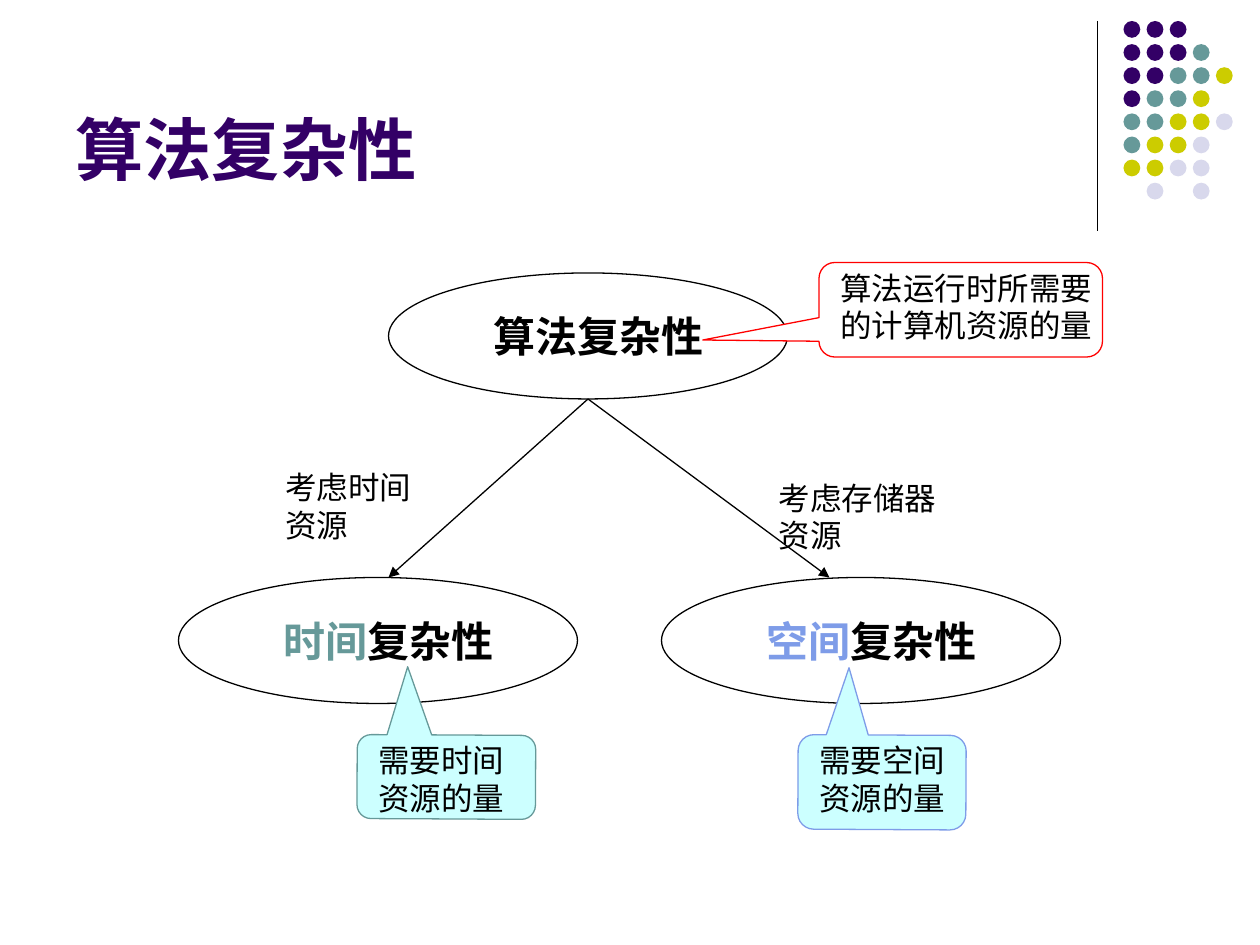
from lxml import etree
from pptx import Presentation, util as u
from pptx.dml.color import RGBColor
from pptx.enum import shapes, text
from pptx.oxml.ns import qn

PX = 7620  # EMU per px, 120 px to the inch
COLORS = {
    "black": "000000", "white": "FFFFFF", "purple": "330066", "teal": "669999",
    "olive": "CCCC00", "lavender": "D8D8EC", "blue": "7E9CE8",
    "cyan": "CCFFFF", "red": "FF0000",
}
DOT_COLORS = {"P": "purple", "T": "teal", "O": "olive", "L": "lavender"}
DOT_ROWS = ["PPP", "PPPT", "PPTTO", "PTTO", "TTOOL", "TOOL", "OOLL", " L L"]


def color(name):
    return RGBColor.from_string(COLORS[name])


def px(*lengths):
    return [u.Emu(length * PX) for length in lengths]


def add_text(slide, box, runs, size, bold=False, align=text.PP_ALIGN.LEFT,
             anchor=text.MSO_ANCHOR.TOP):
    """Add one paragraph made of (words, colour) runs."""
    frame = slide.shapes.add_textbox(*px(*box)).text_frame
    frame.word_wrap = True
    frame.vertical_anchor = anchor
    paragraph = frame.paragraphs[0]
    paragraph.alignment = align
    paragraph.font.name = "Arial"
    paragraph.font.size = u.Pt(size)
    paragraph.font.bold = bold
    for words, run_color in runs:
        run = paragraph.add_run()
        run.text = words
        run.font.color.rgb = color(run_color)


def add_outline(slide, kind, box, fill=None, line=None):
    shape = slide.shapes.add_shape(kind, *px(*box))
    shape.shadow.inherit = False
    if fill:
        shape.fill.solid()
        shape.fill.fore_color.rgb = color(fill)
    else:
        shape.fill.background()
    if line:
        shape.line.color.rgb = color(line)
        shape.line.width = u.Pt(0.75)
    else:
        shape.line.fill.background()
    return shape


def add_line(slide, start, end, arrow=False):
    line = slide.shapes.add_connector(
        shapes.MSO_CONNECTOR.STRAIGHT, *px(*start, *end))
    line.line.color.rgb = color("black")
    line.line.width = u.Pt(0.75)
    if arrow:
        etree.SubElement(line.line._get_or_add_ln(), qn("a:tailEnd"), type="triangle")
    etree.SubElement(line._element.spPr, qn("a:effectLst"))


def add_dots(slide, left, top):
    """Corner ornament: a rule and a grid of dots."""
    pitch, size = 22, 16
    add_line(slide, (left - 25, top), (left - 25, top + 200))
    for row, letters in enumerate(DOT_ROWS):
        for column, letter in enumerate(letters):
            if letter in DOT_COLORS:
                box = (left + column * pitch, top + row * pitch, size, size)
                add_outline(slide, shapes.MSO_SHAPE.OVAL, box, DOT_COLORS[letter])


def add_node(slide, left, top, runs):
    """Ellipse with a centred bold label."""
    add_outline(slide, shapes.MSO_SHAPE.OVAL, (left, top, 380, 120), line="black")
    add_text(slide, (left + 70, top + 30, 260, 60), runs, 24, True,
             text.PP_ALIGN.CENTER)


def add_branch(slide, start, end, label_box, label):
    """Arrow with its condition."""
    add_line(slide, start, end, arrow=True)
    add_text(slide, label_box, [(label, "black")], 18)


def add_callout(slide, box, text_width, pointer, words, fill, line, rotation=0):
    """Speech bubble with its explanation on top."""
    left, top = box[:2]
    bubble = add_outline(slide, shapes.MSO_SHAPE.ROUNDED_RECTANGULAR_CALLOUT,
                         box, fill, line)
    bubble.rotation = rotation
    bubble.adjustments[0], bubble.adjustments[1] = pointer
    add_text(slide, (left, top, text_width, 84), [(words, "black")], 18,
             align=text.PP_ALIGN.CENTER)


def main():
    presentation = Presentation()
    presentation.slide_width, presentation.slide_height = px(1200, 900)
    slide = presentation.slides.add_slide(presentation.slide_layouts[6])

    # Ornament and title
    add_dots(slide, 1070, 20)
    add_text(slide, (60, 16, 990, 170), [("算法复杂性", "purple")], 39, True,
             anchor=text.MSO_ANCHOR.BOTTOM)

    # Tree
    root = (560, 380)
    add_node(slide, 370, 260, [("算法复杂性", "black")])
    add_node(slide, 170, 550, [("时间", "teal"), ("复杂性", "black")])
    add_branch(slide, root, (370, 550), (260, 440, 170, 84), "考虑时间资源")
    add_node(slide, 630, 550, [("空间", "blue"), ("复杂性", "black")])
    add_branch(slide, root, (790, 550), (730, 450, 200, 84), "考虑存储器资源")

    # Explanations
    add_callout(slide, (340, 700, 170, 80), 160, (0.22, 1.31),
                "需要时间资源的量", "cyan", "teal", 180.3)
    add_callout(slide, (760, 700, 160, 90), 160, (0.2, 1.21),
                "需要空间资源的量", "cyan", "blue", 180.3)
    add_callout(slide, (780, 250, 270, 90), 280, (-0.91, 0.32),
                "算法运行时所需要的计算机资源的量", "white", "red")

    presentation.save("out.pptx")


if __name__ == "__main__":
    main()
